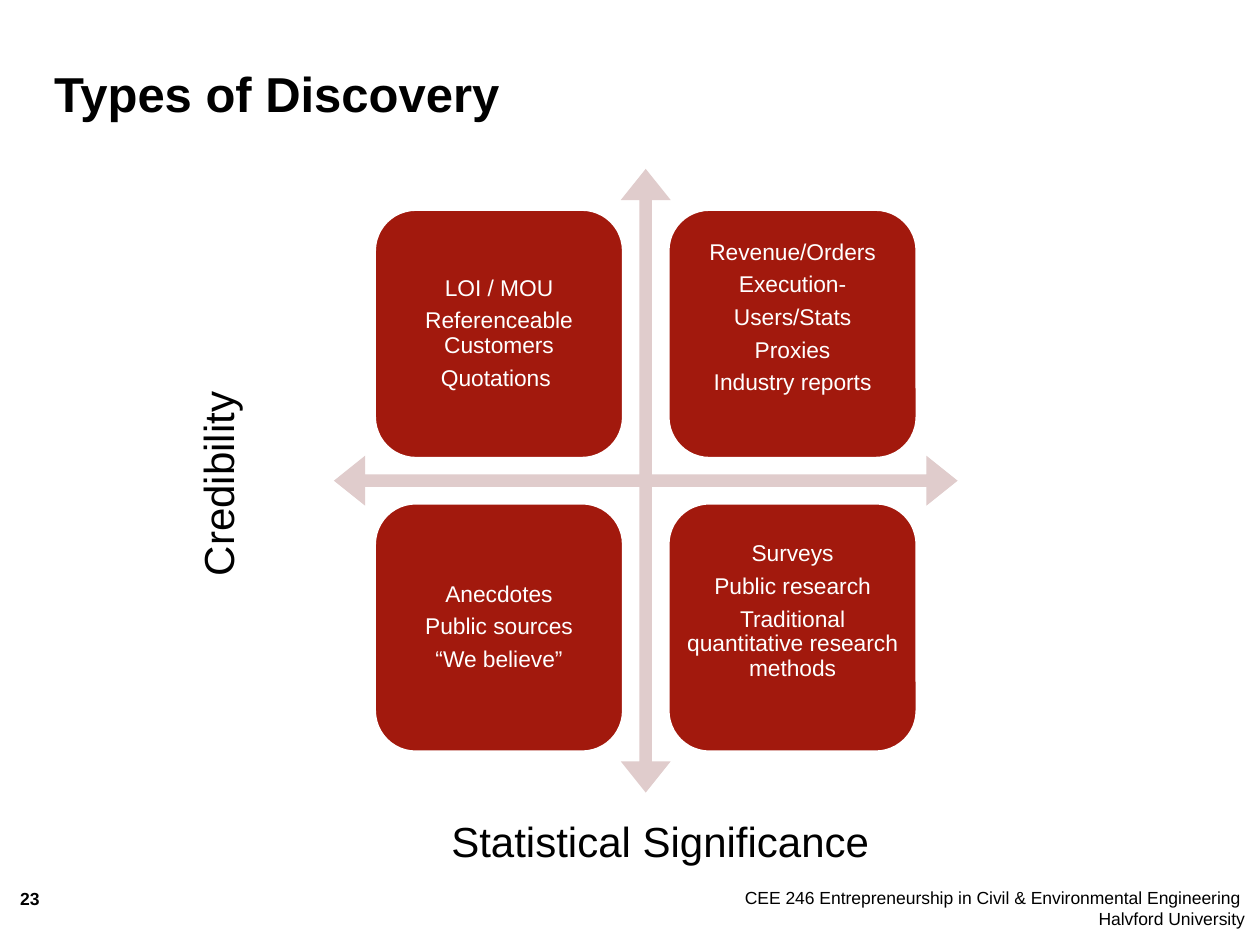
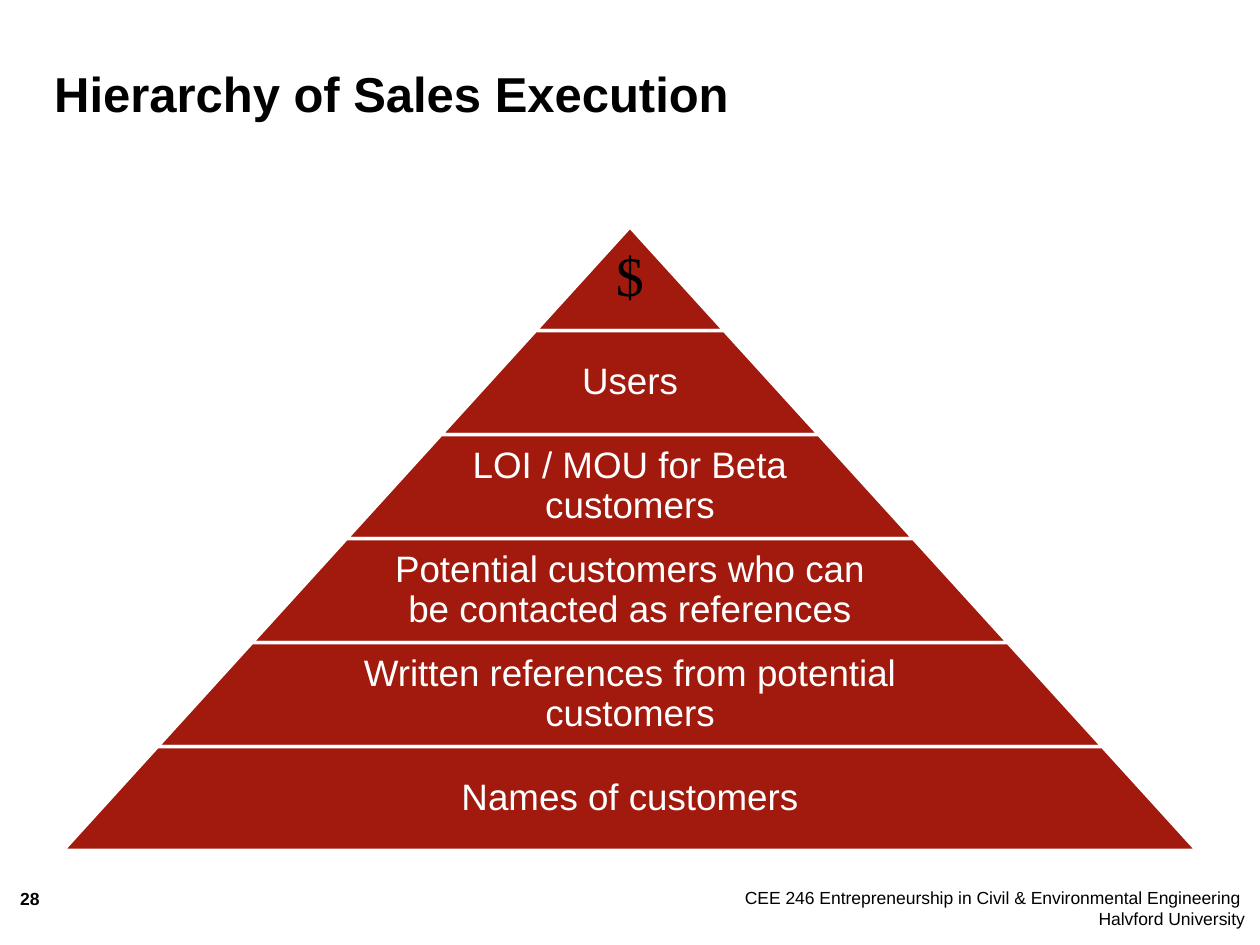
import pptx
import pptx.util
import pptx.dml.color
import pptx.enum.shapes
import pptx.enum.text

Inches, Pt = pptx.util.Inches, pptx.util.Pt
SHAPE = pptx.enum.shapes.MSO_SHAPE
ALIGN = pptx.enum.text.PP_ALIGN
ANCHOR = pptx.enum.text.MSO_ANCHOR

# Content
FOOTER = ("CEE 246 Entrepreneurship in Civil & Environmental Engineering \v"
          "Halvford University")
DISCOVERY = {"title": "Types of Discovery", "number": 23,
             "x_axis": "Statistical Significance", "y_axis": "Credibility"}
# Row by row; the second value is extra room below the text
QUADRANTS = [
    (["LOI / MOU", "Referenceable Customers", "Quotations "], 0),
    (["Revenue/Orders", "Execution-", "Users/Stats", "Proxies",
      "Industry reports"], 0.25),
    (["Anecdotes", "Public sources", "“We believe”"], 0),
    (["Surveys", "Public research",
      "Traditional quantitative research methods"], 0.25),
]
HIERARCHY = {"title": "Hierarchy of Sales Execution", "number": 28}
LEVELS = [
    "$",
    "Users",
    "LOI / MOU for Beta customers",
    "Potential customers who can be contacted as references",
    "Written references from potential customers",
    "Names of customers",
]

# Shared style
COLORS = {"red": "A2190D", "pale": "E0CCCC", "white": "FFFFFF", "black": "000000"}
FONT = "Arial"


def rgb(name):
    return pptx.dml.color.RGBColor.from_string(COLORS[name])


def write(sp, lines, size, color="black", font=FONT, bold=False, align=ALIGN.CENTER,
          anchor=ANCHOR.TOP, inset=0, spaced=False):
    """Fill a shape with one paragraph per line."""
    tf = sp.text_frame
    tf.word_wrap = True
    tf.auto_size = pptx.enum.text.MSO_AUTO_SIZE.NONE
    tf.vertical_anchor = anchor
    tf.margin_left = tf.margin_right = tf.margin_top = tf.margin_bottom = Inches(inset)
    for i, line in enumerate(lines):
        p = tf.paragraphs[0] if i == 0 else tf.add_paragraph()
        p.text = line
        p.alignment = align
        p.font.name, p.font.size, p.font.bold = font, Pt(size), bold
        p.font.color.rgb = rgb(color)
        if spaced:
            p.line_spacing = 0.9
            p.space_after = Pt(round(size * 0.35, 2))
    return tf


def add_text(slide, box, lines, size, **style):
    sp = slide.shapes.add_textbox(*map(Inches, box))
    write(sp, lines, size, **style)
    return sp


def add_block(slide, kind, box, fill, outlined=True):
    sp = slide.shapes.add_shape(kind, *map(Inches, box))
    sp.shadow.inherit = False
    sp.fill.solid()
    sp.fill.fore_color.rgb = rgb(fill)
    if outlined:
        sp.line.color.rgb = rgb("white")
        sp.line.width = Pt(2)
    else:
        sp.line.fill.background()
    return sp


def add_slide(prs, content):
    """Add a slide with its title, footer and page number."""
    slide = prs.slides.add_slide(prs.slide_layouts[5])
    title = slide.shapes.title
    title.left, title.top, title.width, title.height = map(
        Inches, (0.43, 0.36, 7.56, 0.61))
    write(title, [content["title"]], 28, bold=True, align=ALIGN.LEFT,
          anchor=ANCHOR.BOTTOM)
    add_text(slide, (5.88, 7.04, 4, 0.39), [FOOTER], 10, align=ALIGN.RIGHT)
    add_text(slide, (0.16, 7.05, 0.36, 0.24), [str(content["number"])], 10,
             bold=True, align=ALIGN.LEFT)
    return slide


def build_discovery(prs):
    slide = add_slide(prs, DISCOVERY)

    # Crossed axes
    axes = add_block(slide, SHAPE.QUAD_ARROW, (2.65, 1.34, 4.95, 4.95), "pale",
                     outlined=False)
    for i, value in enumerate((0.02, 0.04, 0.05)):
        axes.adjustments[i] = value

    # Two by two quadrants
    left, top, side, step = 2.97, 1.66, 1.98, 2.33
    for i, (lines, room_below) in enumerate(QUADRANTS):
        row, col = divmod(i, 2)
        sp = add_block(slide, SHAPE.ROUNDED_RECTANGLE,
                       (left + col * step, top + row * step, side, side), "red")
        tf = write(sp, lines, 13, color="white", anchor=ANCHOR.MIDDLE, inset=0.05,
                   spaced=True)
        tf.margin_bottom = Inches(0.05 + room_below)

    # Axis names
    add_text(slide, (3.05, 6.42, 4.38, 0.5), [DISCOVERY["x_axis"]], 24, inset=0.05)
    y_axis = add_text(slide, (0.2, 3.59, 3.05, 0.5), [DISCOVERY["y_axis"]], 24,
                      inset=0.05)
    y_axis.rotation = 270


def build_hierarchy(prs):
    slide = add_slide(prs, HIERARCHY)

    # Pyramid: each level is wider than the one above by the same amount
    center, top, height, growth = 5, 1.8, 0.825, 1.5
    for i, label in enumerate(LEVELS):
        width, y = growth * (i + 1), top + height * i
        sp = add_block(slide, SHAPE.TRAPEZOID,
                       (center - width / 2, y, width, height), "red")
        sp.adjustments[0] = growth / 2 / height
        if i == 0:
            text_width, style = width, {"size": 32, "font": "Times New Roman"}
        else:
            text_width, style = width * 0.65, {"size": 21, "color": "white"}
        add_text(slide, (center - text_width / 2, y, text_width, height), [label],
                 anchor=ANCHOR.MIDDLE, inset=0.03, spaced=True, **style)


def main():
    prs = pptx.Presentation()
    prs.slide_width, prs.slide_height = Inches(10), Inches(7.5)
    build_discovery(prs)
    build_hierarchy(prs)
    prs.save("out.pptx")


if __name__ == "__main__":
    main()
